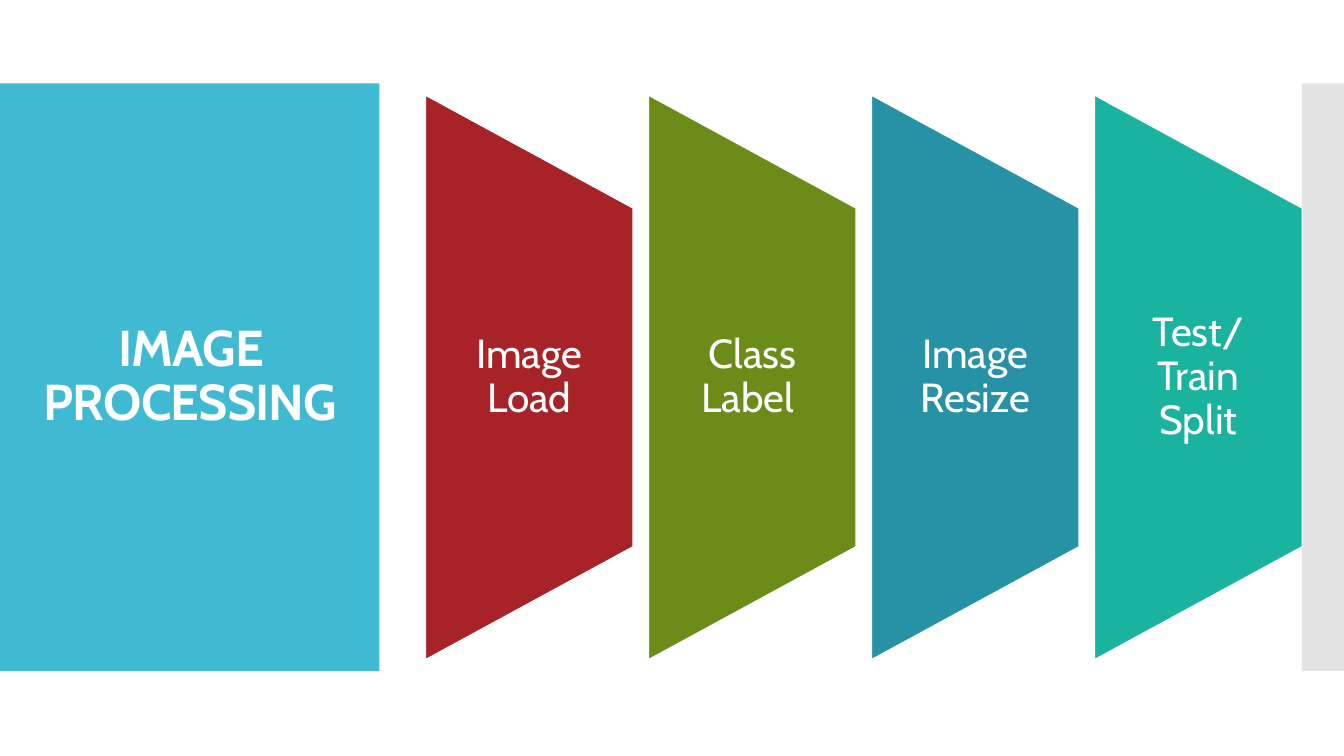
from lxml.etree import SubElement
from pptx import Presentation
from pptx.dml.color import RGBColor
from pptx.enum.shapes import MSO_SHAPE as Preset
from pptx.enum.text import MSO_ANCHOR as Anchor, PP_ALIGN as Align
from pptx.oxml.ns import qn
from pptx.util import Cm, Pt

WHITE = RGBColor(0xFF, 0xFF, 0xFF)
SKY = RGBColor(0x40, 0xBA, 0xD2)
GREY = RGBColor(0xC8, 0xC8, 0xC8)
RED = RGBColor(0xA7, 0x23, 0x27)
GREEN = RGBColor(0x6C, 0x8C, 0x1A)
BLUE = RGBColor(0x27, 0x91, 0xA6)
TEAL = RGBColor(0x1A, 0xB3, 0x9F)

STEPS = [
    ("Image Load", RED),
    ("Class Label ", GREEN),
    ("Image Resize", BLUE),
    ("Test/Train Split", TEAL),
]
MIDDLE = 9.51
FIRST_CENTER, PITCH = 13.34, 5.62
STEP_WIDTH, STEP_HEIGHT, LABEL_HEIGHT = 5.23, 14.22, 8.53
BAND_HEIGHT = 14.81

deck = Presentation()
deck.slide_width, deck.slide_height = Cm(33.87), Cm(19.05)
page = deck.slides.add_slide(deck.slide_layouts[6])


def add_block(preset, center, width, height, color):
    block = page.shapes.add_shape(
        preset, Cm(center - width / 2), Cm(MIDDLE - height / 2), Cm(width), Cm(height))
    block.shadow.inherit = False
    block.fill.solid()
    block.fill.fore_color.rgb = color
    block.line.fill.background()
    return block


def add_label(text, center, width, height, size, inset):
    box = page.shapes.add_textbox(
        Cm(center - width / 2), Cm(MIDDLE - height / 2), Cm(width), Cm(height))
    frame = box.text_frame
    frame.word_wrap = True
    frame.vertical_anchor = Anchor.MIDDLE
    frame.margin_left = frame.margin_right = Cm(inset)
    frame.margin_top = frame.margin_bottom = 0
    frame.text = text
    para = frame.paragraphs[0]
    para.alignment = Align.CENTER
    para.line_spacing = 0.9
    span = para.runs[0]
    span.font.name = "Cabin"
    span.font.size = Pt(size)
    span.font.color.rgb = WHITE
    return span


add_block(Preset.RECTANGLE, 4.78, 9.57, BAND_HEIGHT, SKY)
edge = add_block(Preset.RECTANGLE, 33.34, 1.06, BAND_HEIGHT, GREY)
edge_color = next(edge.element.spPr.iter(qn("a:srgbClr")))
SubElement(edge_color, qn("a:alpha"), val="50000")

title = add_label("IMAGE PROCESSING", 4.8, 8.18, 12.78, 36, 0.25)
title.font.bold = True
title.font._element.set("spc", "-60")

for index, (name, color) in enumerate(STEPS):
    center = FIRST_CENTER + index * PITCH
    step = add_block(Preset.FLOWCHART_MANUAL_OPERATION, center, STEP_HEIGHT, STEP_WIDTH, color)
    step.rotation = 270
    step.line.color.rgb = WHITE
    step.line.width = Pt(0.85)
    add_label(name, center, STEP_WIDTH, LABEL_HEIGHT, 29, 0.5)

deck.save("out.pptx")
